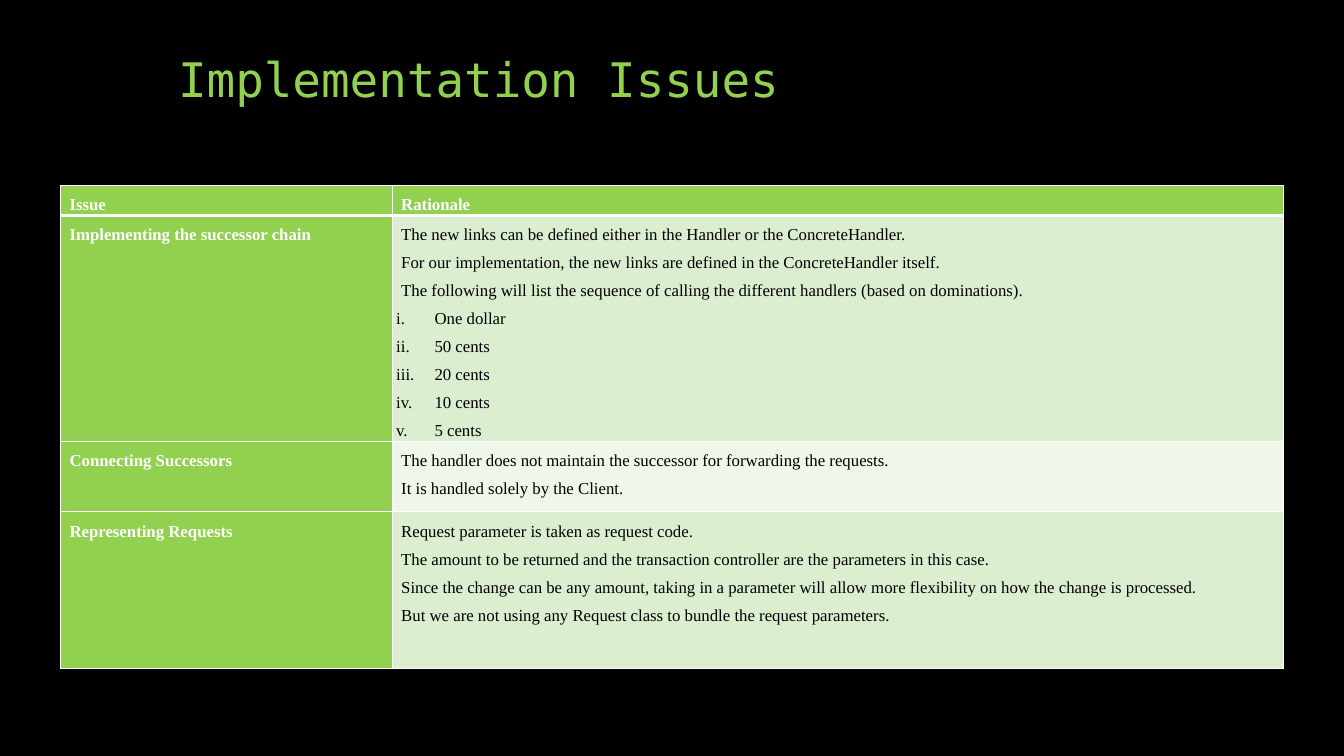
from lxml import etree
from pptx import Presentation
from pptx.dml.color import RGBColor
from pptx.enum.text import MSO_ANCHOR as ANCHOR, MSO_AUTO_SIZE as AUTO, PP_ALIGN as ALIGN
from pptx.oxml.ns import qn
from pptx.util import Pt

BLACK = RGBColor(0x00, 0x00, 0x00)
WHITE = RGBColor(0xFF, 0xFF, 0xFF)
GREEN = RGBColor(0x92, 0xD0, 0x50)
BAND_DARK = RGBColor(0xDC, 0xEE, 0xD0)
BAND_LIGHT = RGBColor(0xEE, 0xF7, 0xE9)

TITLE_FONT, BODY_FONT = "DejaVu Sans Mono", "Times New Roman"

# Each row: issue, rationale lines, numbered items
ISSUES = [
    ("Implementing the successor chain", [
        "The new links can be defined either in the Handler or the ConcreteHandler.",
        "For our implementation, the new links are defined in the ConcreteHandler itself.",
        "The following will list the sequence of calling the different handlers (based on dominations).",
    ], ["One dollar", "50 cents", "20 cents", "10 cents", "5 cents"]),
    ("Connecting Successors", [
        "The handler does not maintain the successor for forwarding the requests.",
        "It is handled solely by the Client.",
    ], []),
    ("Representing Requests", [
        "Request parameter is taken as request code.",
        "The amount to be returned and the transaction controller are the parameters in this case.",
        "Since the change can be any amount, taking in a parameter will allow more flexibility "
        "on how the change is processed.",
        "But we are not using any Request class to bundle the request parameters.",
    ], []),
]


def write(p, text, font=BODY_FONT, size=12, color=BLACK, bold=False,
          spacing=1.5, indent=3.6, numbered=False):
    """Fill a paragraph with one formatted run."""
    p.alignment = ALIGN.LEFT
    p.line_spacing = spacing
    p.space_before = p.space_after = Pt(0)
    pPr = p._p.get_or_add_pPr()
    hang = 27.4 if numbered else 0
    pPr.set("marL", str(Pt(hang or indent)))
    pPr.set("indent", str(-Pt(hang)))
    if numbered:
        etree.SubElement(pPr, qn("a:buAutoNum"), type="romanLcPeriod")
    r = p.add_run()
    r.text = text
    f = r.font
    f.name, f.size, f.bold = font, Pt(size), bold
    f.color.rgb = color


class Deck:
    def __init__(self, width, height, background):
        self.prs = Presentation()
        self.prs.slide_width, self.prs.slide_height = Pt(width), Pt(height)
        self.s = self.prs.slides.add_slide(self.prs.slide_layouts[5])
        fill = self.s.background.fill
        fill.solid()
        fill.fore_color.rgb = background

    def title(self, text, x, y, w, h):
        sp = self.s.shapes.title
        sp.left, sp.top, sp.width, sp.height = Pt(x), Pt(y), Pt(w), Pt(h)
        tf = sp.text_frame
        tf.word_wrap, tf.auto_size = True, AUTO.NONE
        tf.vertical_anchor = ANCHOR.TOP
        write(tf.paragraphs[0], text, font=TITLE_FONT, size=34, color=GREEN,
              spacing=0.9, indent=0)

    def table(self, x, y, cols, rows):
        frame = self.s.shapes.add_table(len(rows), len(cols), Pt(x), Pt(y),
                                        Pt(sum(cols)), Pt(sum(rows)))
        tbl = frame.table
        tbl.horz_banding = False
        for col, w in zip(tbl.columns, cols):
            col.width = Pt(w)
        for row, h in zip(tbl.rows, rows):
            row.height = Pt(h)
        return tbl

    def cell(self, cell, lines, fill, items=(), top=1, bottom=1, **fmt):
        cell.margin_left = cell.margin_right = Pt(2.9)
        cell.margin_top = cell.margin_bottom = Pt(0.7)
        cell.vertical_anchor = ANCHOR.TOP
        for side, width in zip("LRTB", (1, 1, top, bottom)):
            self.border(cell, side, width)
        cell.fill.solid()
        cell.fill.fore_color.rgb = fill
        tf = cell.text_frame
        for i, text in enumerate([*lines, *items]):
            p = tf.add_paragraph() if i else tf.paragraphs[0]
            write(p, text, numbered=i >= len(lines), **fmt)

    def border(self, cell, side, width):
        tcPr = cell._tc.get_or_add_tcPr()
        ln = etree.SubElement(tcPr, qn("a:ln" + side), w=str(Pt(width)))
        solid = etree.SubElement(ln, qn("a:solidFill"))
        etree.SubElement(solid, qn("a:srgbClr"), val=str(WHITE))


def main():
    deck = Deck(960, 540, BLACK)
    deck.title("Implementation Issues", 120, 36.7, 720, 90)

    # Header row
    tbl = deck.table(43.2, 132.5, cols=[236.9, 636.5], rows=[21.5, 160.6, 50.4, 111.6])
    for c, heading in enumerate(["Issue", "Rationale"]):
        deck.cell(tbl.cell(0, c), [heading], GREEN, bottom=3, color=WHITE, bold=True)

    # Issue rows with alternating bands
    for n, (issue, lines, items) in enumerate(ISSUES, start=1):
        top = 3 if n == 1 else 1
        band = BAND_DARK if n % 2 else BAND_LIGHT
        deck.cell(tbl.cell(n, 0), [issue], GREEN, top=top, color=WHITE, bold=True)
        deck.cell(tbl.cell(n, 1), lines, band, items=items, top=top)

    deck.prs.save("out.pptx")


if __name__ == "__main__":
    main()
